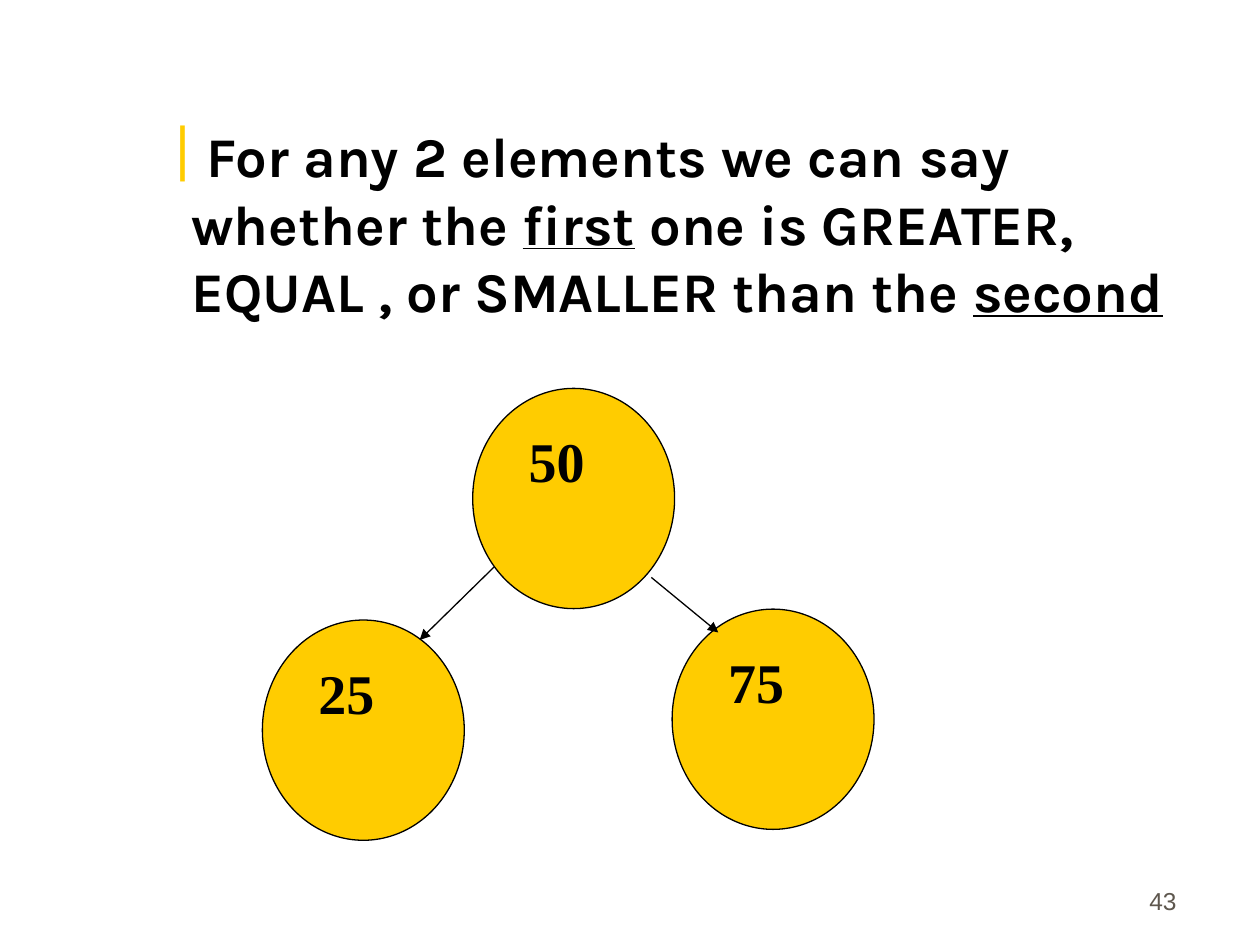
from lxml.etree import SubElement
from pptx import Presentation
from pptx.dml.color import RGBColor
from pptx.enum.shapes import MSO_CONNECTOR, MSO_SHAPE
from pptx.enum.text import MSO_ANCHOR, PP_ALIGN
from pptx.oxml.ns import qn
from pptx.util import Cm, Pt

BLACK = RGBColor(0x00, 0x00, 0x00)
GOLD = RGBColor(0xFF, 0xCC, 0x00)
GREY = RGBColor(0x5E, 0x57, 0x4E)


def style(font, name, size, color, bold=False):
    font.name = name
    font.size = Pt(size)
    font.color.rgb = color
    font.bold = bold


deck = Presentation()
deck.slide_width, deck.slide_height = Cm(25.4), Cm(19.05)
slide = deck.slides.add_slide(deck.slide_layouts[6])
shapes = slide.shapes

# Statement with a gold bar as its bullet
body = shapes.add_textbox(Cm(0.43), Cm(0.43), Cm(24.33), Cm(18.21))
frame = body.text_frame
frame.word_wrap = True
frame.margin_top = Cm(2.03)
para = frame.paragraphs[0]
props = para._p.get_or_add_pPr()
props.set("marL", str(Cm(3.18)))
props.set("indent", str(Cm(-0.64)))
tint = SubElement(props, qn("a:buClr"))
SubElement(tint, qn("a:srgbClr"), val=str(GOLD))
SubElement(props, qn("a:buChar"), char="❘")
parts = [
    ("For any 2 elements we can say whether the ", False),
    ("first", True),
    (" one is GREATER, EQUAL , or SMALLER than the ", False),
    ("second", True),
]
for text, under in parts:
    run = para.add_run()
    run.text = text
    style(run.font, "Karla", 32, BLACK, True)
    run.font.underline = under

# Tree nodes
nodes = [(" 50", 9.53, 7.83), (" 25", 5.29, 12.5), (" 75", 13.55, 12.28)]
for text, left, top in nodes:
    node = shapes.add_shape(MSO_SHAPE.OVAL, Cm(left), Cm(top), Cm(4.07), Cm(4.44))
    node.shadow.inherit = False
    node.fill.solid()
    node.fill.fore_color.rgb = GOLD
    node.line.color.rgb = BLACK
    node.line.width = Pt(0.75)
    frame = node.text_frame
    frame.vertical_anchor = MSO_ANCHOR.TOP
    frame.text = text
    para = frame.paragraphs[0]
    para.alignment = PP_ALIGN.LEFT
    style(para.runs[0].font, "Times New Roman", 32, BLACK, True)

# Arrows from the root to its children
arrows = [(13.13, 11.64, 14.48, 12.75), (9.96, 11.43, 8.46, 12.9)]
for ends in arrows:
    arrow = shapes.add_connector(MSO_CONNECTOR.STRAIGHT, *map(Cm, ends))
    arrow.line.color.rgb = BLACK
    arrow.line.width = Pt(0.75)
    SubElement(arrow.line._get_or_add_ln(), qn("a:tailEnd"), type="triangle")
    SubElement(arrow._element.spPr, qn("a:effectLst"))

# Page number
page = shapes.add_textbox(Cm(18.69), Cm(17.3), Cm(5.28), Cm(1.27))
frame = page.text_frame
frame.word_wrap = True
frame.vertical_anchor = MSO_ANCHOR.BOTTOM
frame.text = "43"
para = frame.paragraphs[0]
para.alignment = PP_ALIGN.RIGHT
style(para.runs[0].font, "Arial", 14, GREY)

deck.save("out.pptx")
